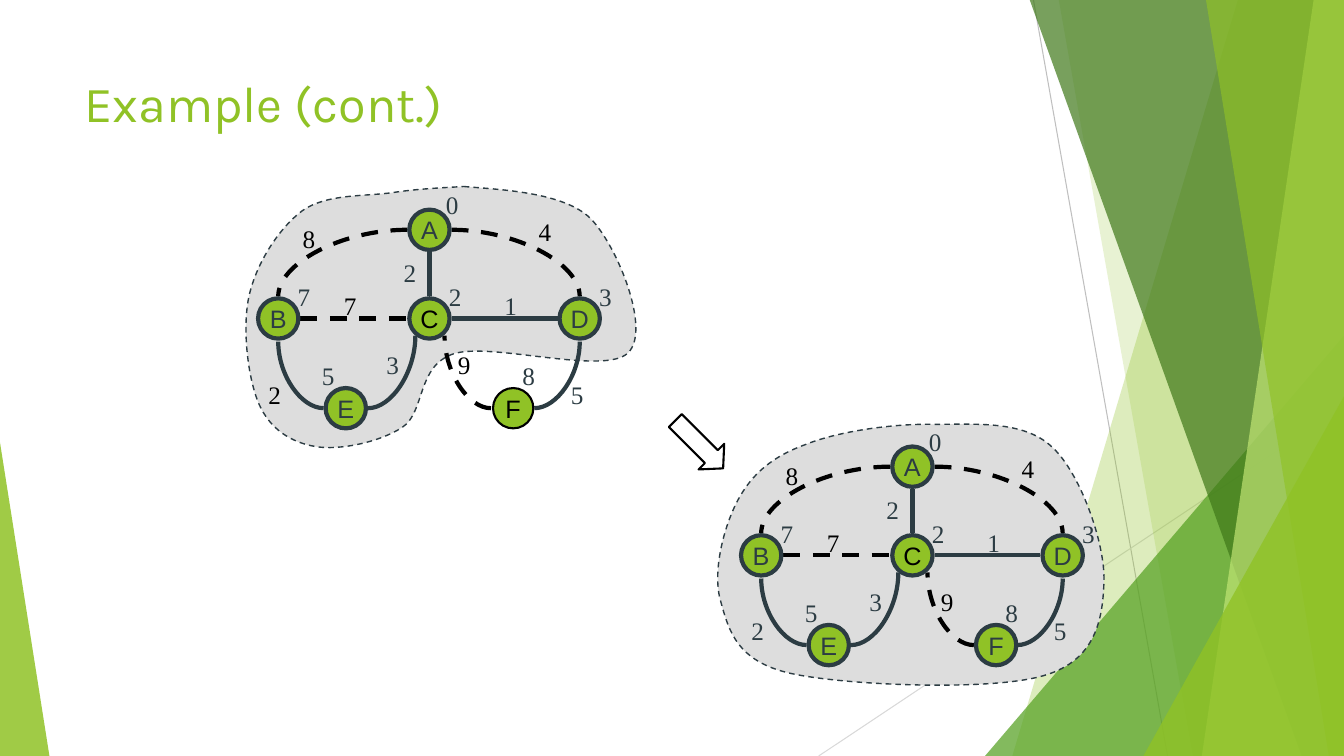
from pptx import Presentation
from pptx.dml.color import RGBColor
from pptx.enum.dml import MSO_LINE
from pptx.enum.shapes import MSO_CONNECTOR, MSO_SHAPE
from pptx.enum.text import MSO_ANCHOR, MSO_AUTO_SIZE, PP_ALIGN
from pptx.oxml.ns import qn
from pptx.oxml.xmlchemy import OxmlElement
from pptx.util import Inches, Pt

GREEN = RGBColor(0x90, 0xC2, 0x26)
LEAF = RGBColor(0x54, 0xA0, 0x21)
FOREST = RGBColor(0x3F, 0x78, 0x19)
LIME = RGBColor(0xC0, 0xE4, 0x74)
SLATE = RGBColor(0x2C, 0x3C, 0x43)
BLACK = RGBColor(0, 0, 0)
CLOUD = RGBColor(0xDD, 0xDD, 0xDD)
SILVER = RGBColor(0xBF, 0xBF, 0xBF)
PALE = RGBColor(0xD9, 0xD9, 0xD9)

NODES = [("A", 4.26, 2.28), ("B", 2.76, 3.16), ("C", 4.26, 3.16),
         ("D", 5.75, 3.16), ("E", 3.43, 4.05), ("F", 5.09, 4.05)]
CURVES = [(4.04, 2.28, 2.76, 2.94, True), (4.48, 2.28, 5.75, 2.94, True),
          (3.21, 4.05, 2.76, 3.39, False), (3.65, 4.05, 4.12, 3.33, False),
          (5.3, 4.05, 5.75, 3.39, False), (4.87, 4.05, 4.41, 3.33, True)]
LINES = [(4.26, 2.5, 4.26, 2.94, False), (2.98, 3.16, 4.04, 3.16, True),
         (4.48, 3.16, 5.53, 3.16, False)]
COSTS = [("0", 4.32, 1.83), ("3", 5.84, 2.74), ("2", 4.35, 2.74),
         ("7", 2.85, 2.74), ("5", 3.09, 3.53), ("8", 5.08, 3.53),
         ("1", 4.9, 2.83), ("5", 5.56, 3.71), ("2", 3.9, 2.5), ("3", 3.73, 3.42)]
UNUSED = [("4", 5.24, 2.1), ("8", 2.9, 2.17), ("7", 3.31, 2.83), ("9", 4.44, 3.42)]
FIRST = [(4.6, 1.85), (4.93, 1.88), (5.59, 1.9), (5.86, 2.17), (6.13, 2.45),
         (6.46, 3.28), (6.23, 3.5), (6, 3.73), (4.87, 3.39), (4.5, 3.51),
         (4.13, 3.63), (4.22, 4.09), (3.99, 4.24), (3.76, 4.39), (3.36, 4.47),
         (3.13, 4.43), (2.89, 4.39), (2.68, 4.26), (2.57, 4.01), (2.46, 3.76),
         (2.4, 3.26), (2.47, 2.94), (2.54, 2.62), (2.76, 2.27), (3, 2.09),
         (3.24, 1.92), (3.63, 1.95), (3.9, 1.91), (4.16, 1.87), (4.46, 1.86),
         (4.6, 1.85)]
SECOND = [(9.27, 4.21), (9.68, 4.21), (10.15, 4.17), (10.43, 4.43), (10.71, 4.68),
          (10.96, 5.38), (10.95, 5.76), (10.94, 6.14), (10.87, 6.55), (10.36, 6.7),
          (9.84, 6.86), (8.38, 6.8), (7.84, 6.68), (7.31, 6.56), (7.23, 6.26),
          (7.15, 5.97), (7.06, 5.68), (7.18, 5.22), (7.32, 4.96), (7.46, 4.7),
          (7.66, 4.53), (7.99, 4.41), (8.31, 4.28), (8.86, 4.2), (9.27, 4.21)]


def write(frame, text, size=18, font="Arial", color=SLATE, align=PP_ALIGN.CENTER):
    run = frame.paragraphs[0].add_run()
    run.text = text
    run.font.size = Pt(size)
    run.font.name = font
    run.font.color.rgb = color
    frame.paragraphs[0].alignment = align


class Board:
    """Draws styled elements on one slide."""

    def __init__(self, slide):
        self.shapes = slide.shapes

    def paint(self, shape, fill=None, alpha=100, line=None, width=1, dash=False):
        shape.shadow.inherit = False
        if fill is None:
            shape.fill.background()
        else:
            shape.fill.solid()
            shape.fill.fore_color.rgb = fill
        if alpha < 100:
            tint = OxmlElement("a:alpha")
            tint.set("val", str(alpha * 1000))
            next(shape.element.spPr.iter(qn("a:srgbClr"))).append(tint)
        if line is None:
            shape.line.fill.background()
        else:
            self.stroke(shape.line, line, width, dash)

    def stroke(self, line, color, width, dash):
        line.color.rgb = color
        line.width = Pt(width)
        if dash:
            line.dash_style = MSO_LINE.DASH

    def preset(self, kind, x, y, w, h, **style):
        shape = self.shapes.add_shape(kind, Inches(x), Inches(y), Inches(w), Inches(h))
        self.paint(shape, **style)
        return shape

    def wedge(self, x, y, w, h, tip, fill, alpha):
        shape = self.preset(MSO_SHAPE.ISOSCELES_TRIANGLE, x, y, w, h, fill=fill, alpha=alpha)
        shape.adjustments[0] = tip

    def outline(self, points, **style):
        spots = [(Inches(x), Inches(y)) for x, y in points]
        pen = self.shapes.build_freeform(*spots[0])
        pen.add_line_segments(spots[1:], close=True)
        shape = pen.convert_to_shape()
        self.paint(shape, **style)
        return shape

    def band(self, top, base, fill, alpha):
        self.outline([(top, -0.01), (13.33, -0.01), (13.33, 7.5), (base, 7.5)],
                     fill=fill, alpha=alpha)

    def cloud(self, points):
        shape = self.outline(points, fill=CLOUD, line=SLATE, dash=True)
        steps = list(shape.element.iter(qn("a:lnTo")))
        for start in range(0, len(steps), 3):
            curve = OxmlElement("a:cubicBezTo")
            steps[start].addprevious(curve)
            for step in steps[start:start + 3]:
                curve.append(step[0])
                step.getparent().remove(step)

    def link(self, x1, y1, x2, y2, color, width=3, dash=False, curved=False):
        kind = MSO_CONNECTOR.CURVE if curved else MSO_CONNECTOR.STRAIGHT
        line = self.shapes.add_connector(kind, Inches(x1), Inches(y1), Inches(x2), Inches(y2))
        self.stroke(line.line, color, width, dash)
        frame = line.element.spPr
        if curved:
            frame.find(qn("a:prstGeom")).set("prst", "curvedConnector2")
        frame.append(OxmlElement("a:effectLst"))

    def node(self, name, x, y, line=SLATE, width=3, color=SLATE):
        shape = self.preset(MSO_SHAPE.OVAL, x - 0.2, y - 0.2, 0.4, 0.4,
                            fill=GREEN, line=line, width=width)
        shape.text_frame.word_wrap = False
        shape.text_frame.vertical_anchor = MSO_ANCHOR.MIDDLE
        write(shape.text_frame, name, color=color)

    def label(self, text, x, y, color=SLATE):
        frame = self.shapes.add_textbox(Inches(x), Inches(y), Inches(0.33), Inches(0.4)).text_frame
        frame.word_wrap = False
        frame.auto_size = MSO_AUTO_SIZE.SHAPE_TO_FIT_TEXT
        write(frame, text, font="Times New Roman", color=color)

    def title(self, text):
        frame = self.shapes.add_textbox(Inches(0.74), Inches(0.67), Inches(9.4), Inches(1.44)).text_frame
        frame.word_wrap = True
        write(frame, text, size=36, font="Karla", color=GREEN, align=PP_ALIGN.LEFT)

    def graph(self, dx, dy, cost, styles):
        for curved, edges in ((True, CURVES), (False, LINES)):
            for x1, y1, x2, y2, dash in edges:
                self.link(x1 + dx, y1 + dy, x2 + dx, y2 + dy,
                          BLACK if dash else SLATE, dash=dash, curved=curved)
        for name, x, y in NODES:
            self.node(name, x + dx, y + dy, **styles.get(name, {}))
        for color, marks in ((SLATE, COSTS), (BLACK, UNUSED), (cost, [("2", 2.56, 3.71)])):
            for text, x, y in marks:
                self.label(text, x + dx, y + dy, color)


def main():
    deck = Presentation()
    deck.slide_width, deck.slide_height = Inches(13.33), Inches(7.5)
    board = Board(deck.slides.add_slide(deck.slide_layouts[6]))
    board.link(10.25, 0, 11.58, 7.5, SILVER, 0.75)
    board.link(13.33, 4.03, 8.12, 7.5, PALE, 0.75)
    board.band(12.28, 10.04, GREEN, 30)
    board.band(10.5, 11.83, GREEN, 20)
    board.wedge(9.77, 3.33, 3.56, 4.17, 1, LEAF, 72)
    board.band(10.21, 12.91, FOREST, 70)
    board.band(13.03, 11.92, LIME, 70)
    board.band(11.96, 13.18, GREEN, 65)
    board.wedge(11.34, 3.93, 1.99, 3.57, 1, GREEN, 80)
    board.wedge(0, 4.39, 0.49, 3.11, 0, GREEN, 85)
    board.title("Example (cont.)")
    dark = {"C": {"color": BLACK}}
    fresh = {"F": {"line": BLACK, "width": 1.5, "color": BLACK}}
    board.cloud(FIRST)
    board.graph(0, 0, BLACK, dark | fresh)
    board.cloud(SECOND)
    board.graph(4.79, 2.35, SLATE, dark)
    arrow = board.preset(MSO_SHAPE.RIGHT_ARROW, 6.6, 4.23, 0.67, 0.36, line=BLACK, width=1.5)
    arrow.adjustments[1] = 0.457
    arrow.rotation = 45
    deck.save("out.pptx")


if __name__ == "__main__":
    main()
